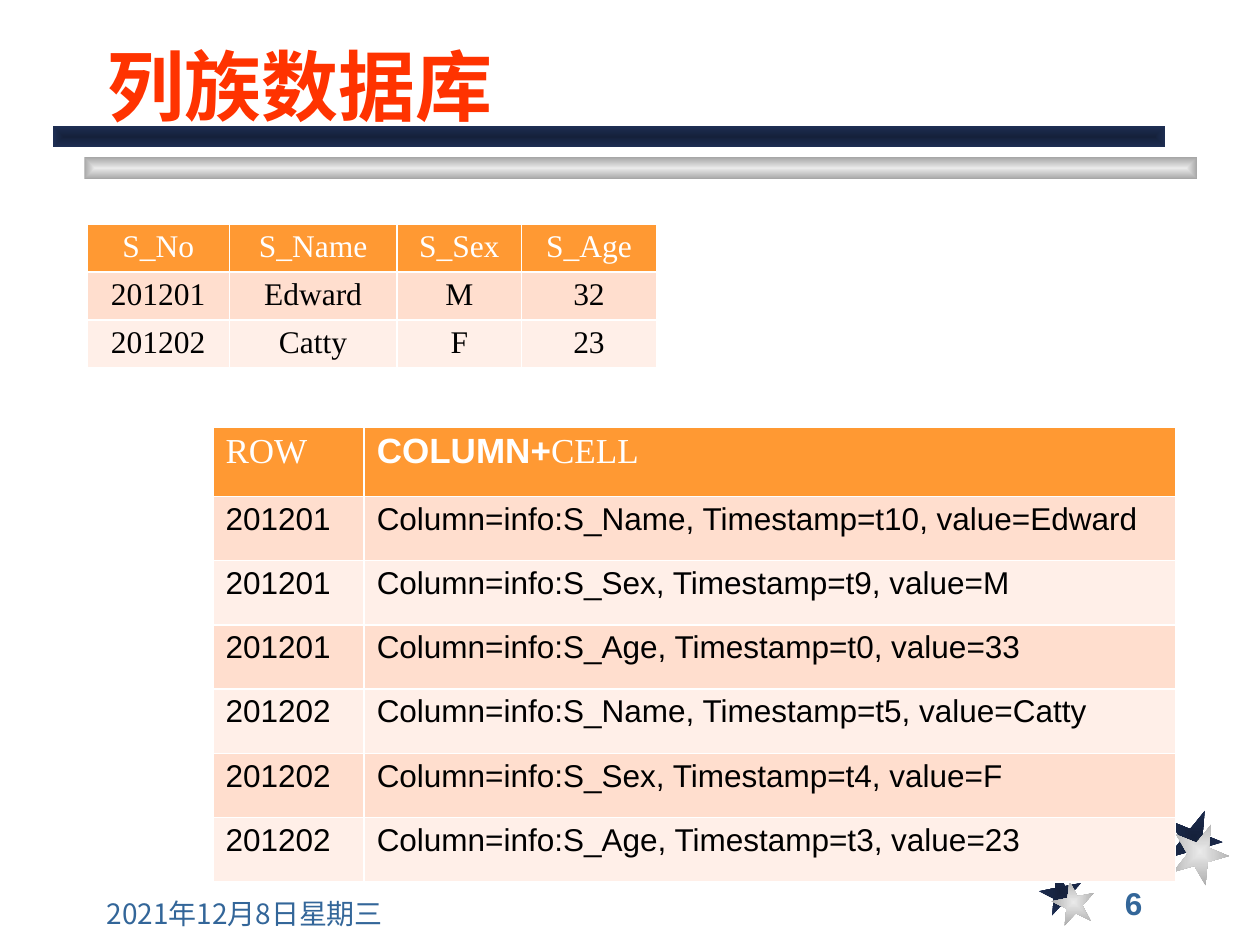
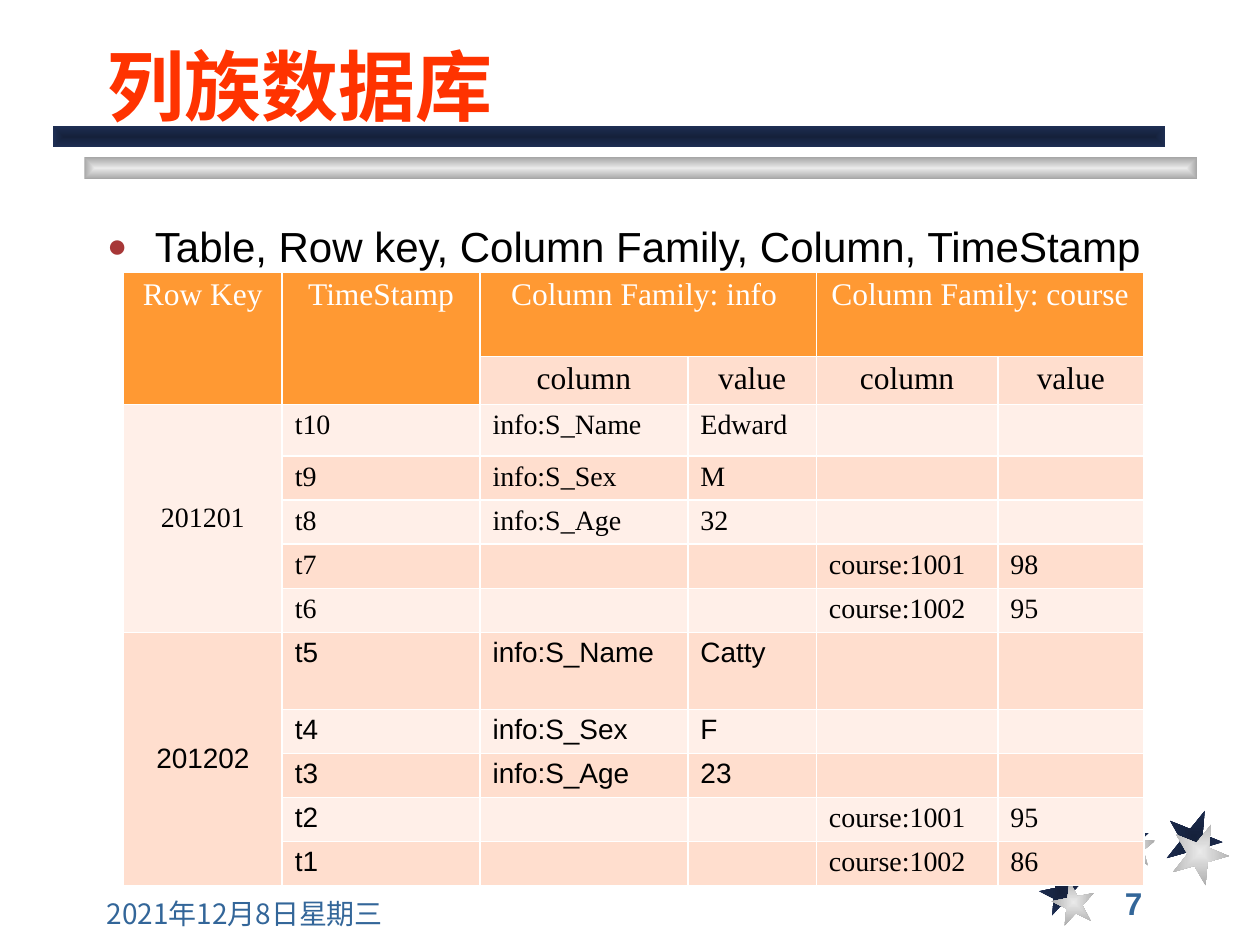
"""Build two slides on column-family databases."""
from lxml import etree
from pptx import Presentation
from pptx import util as u
from pptx.dml.color import RGBColor
from pptx.enum import shapes, text
from pptx.oxml import ns

RED = RGBColor(0xFF, 0x33, 0x00)
STEEL = RGBColor(0x33, 0x66, 0x99)
BLACK = RGBColor(0, 0, 0)
WHITE = RGBColor(0xFF, 0xFF, 0xFF)
ORANGE = RGBColor(0xFF, 0x99, 0x33)
PEACH = RGBColor(0xFF, 0xDE, 0xCE)
PALE = RGBColor(0xFF, 0xEF, 0xE8)
BULLET = RGBColor(0xA7, 0x37, 0x37)
NAVY = (RGBColor(0x15, 0x21, 0x3B), RGBColor(0x1E, 0x2E, 0x53))
SILVER = (RGBColor(0xEA, 0xEA, 0xEA), RGBColor(0xA7, 0xA7, 0xA7))

SANS, SERIF, CJK = "Arial", "Times New Roman", "Noto Sans CJK JP"
STAR, BAR = shapes.MSO_SHAPE.STAR_5_POINT, shapes.MSO_SHAPE.RECTANGLE
CENTER, LEFT = text.PP_ALIGN.CENTER, text.PP_ALIGN.LEFT

DECORATIONS = [
    (STAR, NAVY, 8.25, 6.91, 0.34, 0.34, 349),
    (STAR, NAVY, 8.81, 6.49, 0.31, 0.32, 0),
    (STAR, NAVY, 9.25, 6.42, 0.45, 0.46, 22),
    (STAR, SILVER, 8.35, 6.99, 0.34, 0.34, 349),
    (STAR, SILVER, 8.86, 6.55, 0.31, 0.32, 0),
    (STAR, SILVER, 9.3, 6.53, 0.45, 0.46, 22),
    (BAR, SILVER, 0.67, 1.25, 8.83, 0.17, 0),
    (BAR, NAVY, 0.42, 1, 8.83, 0.17, 0),
]

STUDENTS = [
    ["S_No", "S_Name", "S_Sex", "S_Age"],
    ["201201", "Edward", "M", "32"],
    ["201202", "Catty", "F", "23"],
]
STORED_CELLS = [
    ["ROW", "COLUMN+"],
    ["201201", "Column=info:S_Name, Timestamp=t10, value=Edward"],
    ["201201", "Column=info:S_Sex, Timestamp=t9, value=M"],
    ["201201", "Column=info:S_Age, Timestamp=t0, value=33"],
    ["201202", "Column=info:S_Name, Timestamp=t5, value=Catty"],
    ["201202", "Column=info:S_Sex, Timestamp=t4, value=F"],
    ["201202", "Column=info:S_Age, Timestamp=t3, value=23"],
]
FAMILIES = [
    ["Row Key", "TimeStamp", "Column Family: info ", "", "Column Family: course", ""],
    ["", "", "column", "value", "column", "value"],
    ["201201", "t10", "info:S_Name", "Edward", "", ""],
    ["", "t9", "info:S_Sex", "M", "", ""],
    ["", "t8", "info:S_Age", "32", "", ""],
    ["", "t7", "", "", "course:1001", "98"],
    ["", "t6", "", "", "course:1002", "95"],
    ["201202", "t5", "info:S_Name", "Catty", "", ""],
    ["", "t4", "info:S_Sex", "F", "", ""],
    ["", "t3", "info:S_Age", "23", "", ""],
    ["", "t2", "", "", "course:1001", "95"],
    ["", "t1", "", "", "course:1002", "86"],
]
FAMILY_SPANS = [(0, 0, 1, 0), (0, 1, 1, 1), (0, 2, 0, 3), (0, 4, 0, 5),
                (2, 0, 6, 0), (7, 0, 11, 0)]


def add_xml(parent, tag, **attributes):
    """Append a drawing element to a parent and return it."""
    return etree.SubElement(parent, ns.qn(tag), attributes)


def style_font(font, name, size, color, bold=False):
    """Set the typeface, size, colour and weight of a font."""
    font.name, font.size, font.bold = name, u.Pt(size), bold
    font.color.rgb = color


def place(shape, left, top, width, height):
    """Move and size a shape, in inches."""
    shape.left, shape.top = u.Inches(left), u.Inches(top)
    shape.width, shape.height = u.Inches(width), u.Inches(height)


def fill_from_center(shape, colors):
    """Fill a shape with a gradient that runs from its centre outwards."""
    shape.fill.gradient()
    for stop, color in zip(shape.fill.gradient_stops, colors):
        stop.color.rgb = color
    gradient = shape.element.spPr.find(ns.qn("a:gradFill"))
    gradient.remove(gradient.find(ns.qn("a:lin")))
    path = add_xml(gradient, "a:path")
    path.set("path", "shape")
    add_xml(path, "a:fillToRect", l="50000", t="50000", r="50000", b="50000")


def add_decorations(slide):
    """Put the stars and title bars behind everything else."""
    group = slide.shapes.add_group_shape()
    for kind, colors, left, top, width, height, rotation in DECORATIONS:
        shape = group.shapes.add_shape(kind, u.Inches(left), u.Inches(top),
                                       u.Inches(width), u.Inches(height))
        shape.rotation = rotation
        shape.shadow.inherit = False
        shape.line.fill.background()
        fill_from_center(shape, colors)
    group.element.getparent().insert(2, group.element)


def add_footer(slide, content, left, top, width, font):
    """Add one footer text."""
    box = slide.shapes.add_textbox(u.Inches(left), u.Inches(top),
                                   u.Inches(width), u.Inches(0.33))
    frame = box.text_frame
    frame.word_wrap = True
    frame.vertical_anchor = text.MSO_ANCHOR.MIDDLE
    frame.text = content
    style_font(frame.paragraphs[0].runs[0].font, *font)


def add_slide(presentation, layout, title, number):
    """Add a slide with its title, decorations and footers."""
    slide = presentation.slides.add_slide(presentation.slide_layouts[layout])
    add_decorations(slide)
    place(slide.shapes.title, 0.75, 0.17, 8.5, 0.92)
    frame = slide.shapes.title.text_frame
    frame.text = title
    frame.auto_size = text.MSO_AUTO_SIZE.NONE
    frame.vertical_anchor = text.MSO_ANCHOR.BOTTOM
    paragraph = frame.paragraphs[0]
    paragraph.alignment = LEFT
    style_font(paragraph.runs[0].font, SANS, 44, RED, True)
    add_footer(slide, "2021年12月8日星期三", 0.75, 7.08, 3, (CJK, 16, STEEL))
    add_footer(slide, str(number), 8.83, 7, 1.08, (SANS, 18, STEEL, True))
    return slide


def fill_body(slide, content):
    """Write the bulleted line in the body placeholder."""
    body = slide.placeholders[1]
    place(body, 0.75, 1.5, 8.58, 5.33)
    frame = body.text_frame
    frame.text = content
    frame.auto_size = text.MSO_AUTO_SIZE.NONE
    paragraph = frame.paragraphs[0]
    properties = paragraph._p.get_or_add_pPr()
    properties.set("marL", str(u.Inches(0.38)))
    properties.set("indent", str(-u.Inches(0.38)))
    add_xml(add_xml(properties, "a:buClr"), "a:srgbClr", val=str(BULLET))
    add_xml(properties, "a:buSzPct", val="80000")
    add_xml(properties, "a:buFont", typeface=SANS)
    add_xml(properties, "a:buChar", char="●")
    paragraph.line_spacing = 1.5
    paragraph.space_before = u.Pt(0)
    style_font(paragraph.runs[0].font, SANS, 24, BLACK)


def style_cell(cell, row):
    """Give a cell white borders, tight margins and the fill of its row."""
    properties = cell._tc.get_or_add_tcPr()
    for side in "LRTB":
        line = add_xml(properties, f"a:ln{side}", w=str(u.Pt(1)))
        add_xml(add_xml(line, "a:solidFill"), "a:srgbClr", val=str(WHITE))
    cell.margin_top = cell.margin_bottom = u.Inches(0.04)
    cell.fill.solid()
    cell.fill.fore_color.rgb = ORANGE if row == 0 else PEACH if row % 2 else PALE


def fill_cell(cell, value, color, name, size, alignment):
    """Write a cell's text, keeping the text size in an empty cell too."""
    paragraph = cell.text_frame.paragraphs[0]
    paragraph.text = value
    paragraph.alignment = alignment
    for run in paragraph.runs:
        style_font(run.font, name, size, color)
    if not value:
        ending = add_xml(paragraph._p, "a:endParaRPr", sz=str(size * 100))
        add_xml(ending, "a:latin", typeface=name)


def add_table(slide, position, widths, heights, rows, text_style, spans=()):
    """Add a table; text_style gives font, size and alignment by row and column."""
    left, top = position
    frame = slide.shapes.add_table(len(rows), len(widths), u.Inches(left), u.Inches(top),
                                   u.Inches(sum(widths)), u.Inches(sum(heights)))
    table = frame.table
    for column, width in zip(table.columns, widths):
        column.width = u.Inches(width)
    for row, values in enumerate(rows):
        table.rows[row].height = u.Inches(heights[row])
        for column, value in enumerate(values):
            cell = table.cell(row, column)
            style_cell(cell, row)
            fill_cell(cell, value, BLACK if row else WHITE, *text_style(row, column))
    for first_row, first_column, last_row, last_column in spans:
        table.cell(first_row, first_column).merge(table.cell(last_row, last_column))
    return table


def student_style(row, column):
    """Return the text style of the student table."""
    return SERIF, 18, CENTER


def stored_style(row, column):
    """Return the text style of the stored cells table."""
    return (SANS, 18, LEFT) if row else (SERIF, 20, LEFT)


def family_style(row, column):
    """Return the text style of the column family table."""
    name = SANS if row >= 7 and column < 4 else SERIF
    return name, 18 if row < 2 else 16, CENTER if row < 2 or column == 0 else LEFT


def main():
    """Build and save the presentation."""
    presentation = Presentation()
    presentation.slide_width, presentation.slide_height = u.Inches(10), u.Inches(7.5)
    title = "列族数据库"

    slide = add_slide(presentation, 5, title, 6)
    add_table(slide, (0.69, 1.78), [1.13, 1.33, 0.99, 1.07], [0.33] * 3,
              STUDENTS, student_style)
    stored = add_table(slide, (1.69, 3.39), [1.2, 6.44], [0.55] + [0.51] * 6,
                       STORED_CELLS, stored_style)
    heading = stored.cell(0, 1).text_frame.paragraphs[0]
    style_font(heading.runs[0].font, SANS, 20, WHITE, True)
    run = heading.add_run()
    run.text = "CELL"
    style_font(run.font, SERIF, 20, WHITE)

    slide = add_slide(presentation, 1, title, 7)
    fill_body(slide, "Table, Row key, Column Family, Column, TimeStamp")
    heights = [0.67, 0.33, 0.41] + [0.35] * 4 + [0.61] + [0.35] * 4
    families = add_table(slide, (0.98, 2.16), [1.26, 1.57, 1.65, 1.02, 1.44, 1.16],
                         heights, FAMILIES, family_style, FAMILY_SPANS)
    for row in (2, 7):
        families.cell(row, 0).vertical_anchor = text.MSO_ANCHOR.MIDDLE

    presentation.save("out.pptx")


if __name__ == "__main__":
    main()
